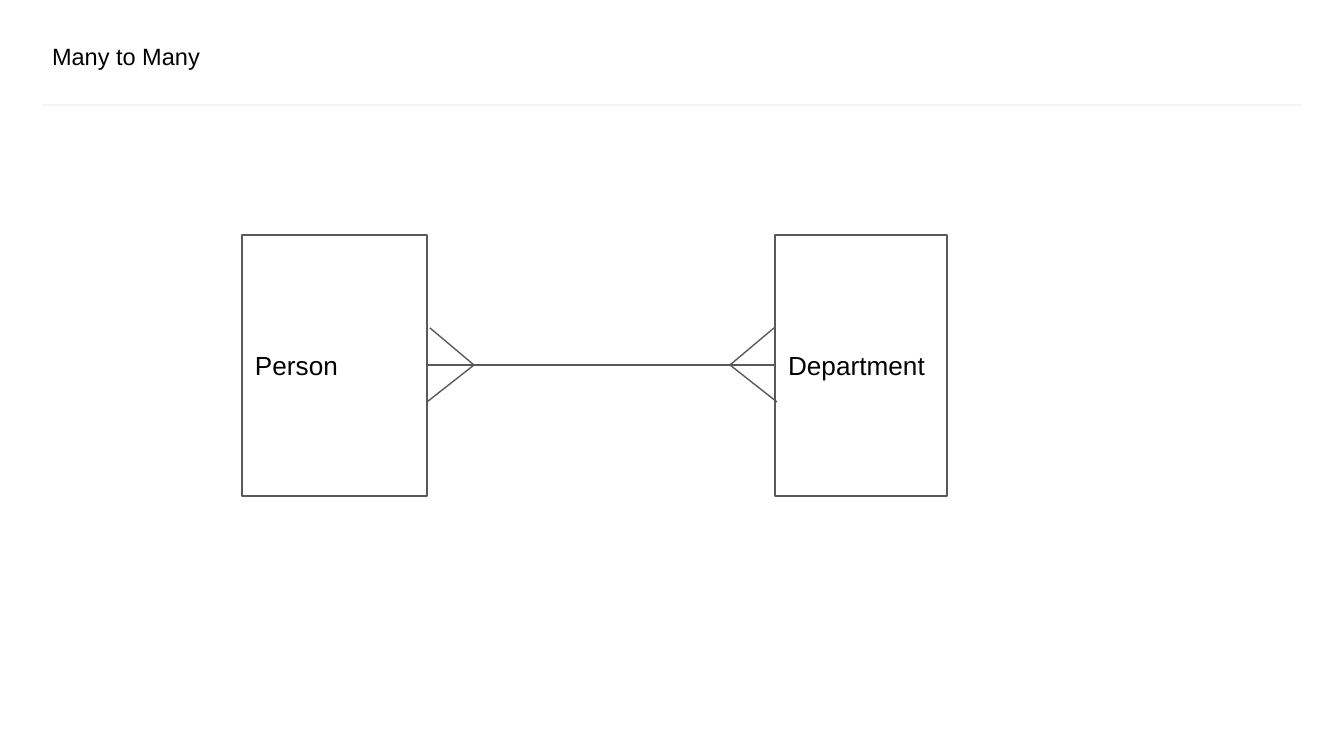
from dataclasses import dataclass

from pptx import Presentation
from pptx.dml.color import RGBColor
from pptx.enum.shapes import MSO_CONNECTOR, MSO_SHAPE
from pptx.enum.text import MSO_ANCHOR, PP_ALIGN
from pptx.oxml.ns import qn
from pptx.util import Pt
from lxml.etree import SubElement

EMU_PER_PX = 914400 / 134.4
INK = "000000"
OUTLINE = "595959"
RULE = "F4F4F4"


@dataclass(frozen=True)
class Entity:
    name: str
    left: int
    width: int
    top: int = 235
    height: int = 261


@dataclass(frozen=True)
class Line:
    x1: int
    y1: int
    x2: int
    y2: int
    color: str = OUTLINE
    weight: float = 0.75


def px(length: int) -> int:
    return round(length * EMU_PER_PX)


def rgb(color: str) -> RGBColor:
    return RGBColor.from_string(color)


def write(shape, text: str, *, size: float, inset_x: int, inset_y: int) -> None:
    frame = shape.text_frame
    frame.word_wrap = True
    frame.vertical_anchor = MSO_ANCHOR.MIDDLE
    frame.margin_left = frame.margin_right = px(inset_x)
    frame.margin_top = frame.margin_bottom = px(inset_y)
    para = frame.paragraphs[0]
    para.alignment = PP_ALIGN.LEFT
    span = para.add_run()
    span.text = text
    span.font.size = Pt(size)
    span.font.name = "Arial"
    span.font.color.rgb = rgb(INK)


def draw_line(page, line: Line) -> None:
    connector = page.shapes.add_connector(
        MSO_CONNECTOR.STRAIGHT, px(line.x1), px(line.y1), px(line.x2), px(line.y2)
    )
    connector.line.color.rgb = rgb(line.color)
    connector.line.width = Pt(line.weight)
    SubElement(connector._element.spPr, qn("a:effectLst"))


def draw_entity(page, entity: Entity) -> None:
    box = page.shapes.add_shape(
        MSO_SHAPE.RECTANGLE,
        px(entity.left), px(entity.top), px(entity.width), px(entity.height),
    )
    box.shadow.inherit = False
    box.fill.background()
    box.line.color.rgb = rgb(OUTLINE)
    box.line.width = Pt(0.75)
    write(box, entity.name, size=14, inset_x=13, inset_y=13)


def draw_title(page, text: str) -> None:
    title = page.shapes.title
    title.left, title.top = px(52), px(34)
    title.width, title.height = px(1239), px(44)
    write(title, text, size=12.6, inset_x=0, inset_y=7)


def main() -> None:
    deck = Presentation()
    deck.slide_width, deck.slide_height = px(1344), px(756)
    page = deck.slides.add_slide(deck.slide_layouts[5])

    draw_line(page, Line(43, 105, 1301, 105, RULE, 1.5))
    draw_title(page, "Many to Many")

    person = Entity("Person", left=242, width=185)
    department = Entity("Department", left=775, width=172)
    for entity in (person, department):
        draw_entity(page, entity)

    person_edge = person.left + person.width
    middle = 365
    spread = 37
    draw_line(page, Line(person_edge, middle, department.left, middle))
    # Each crow's foot: tip, then the ends of its upper and lower toes
    for tip, upper, lower in ((730, 774, 777), (474, 430, person_edge)):
        draw_line(page, Line(upper, middle - spread, tip, middle))
        draw_line(page, Line(tip, middle, lower, middle + spread))

    deck.save("out.pptx")


if __name__ == "__main__":
    main()
